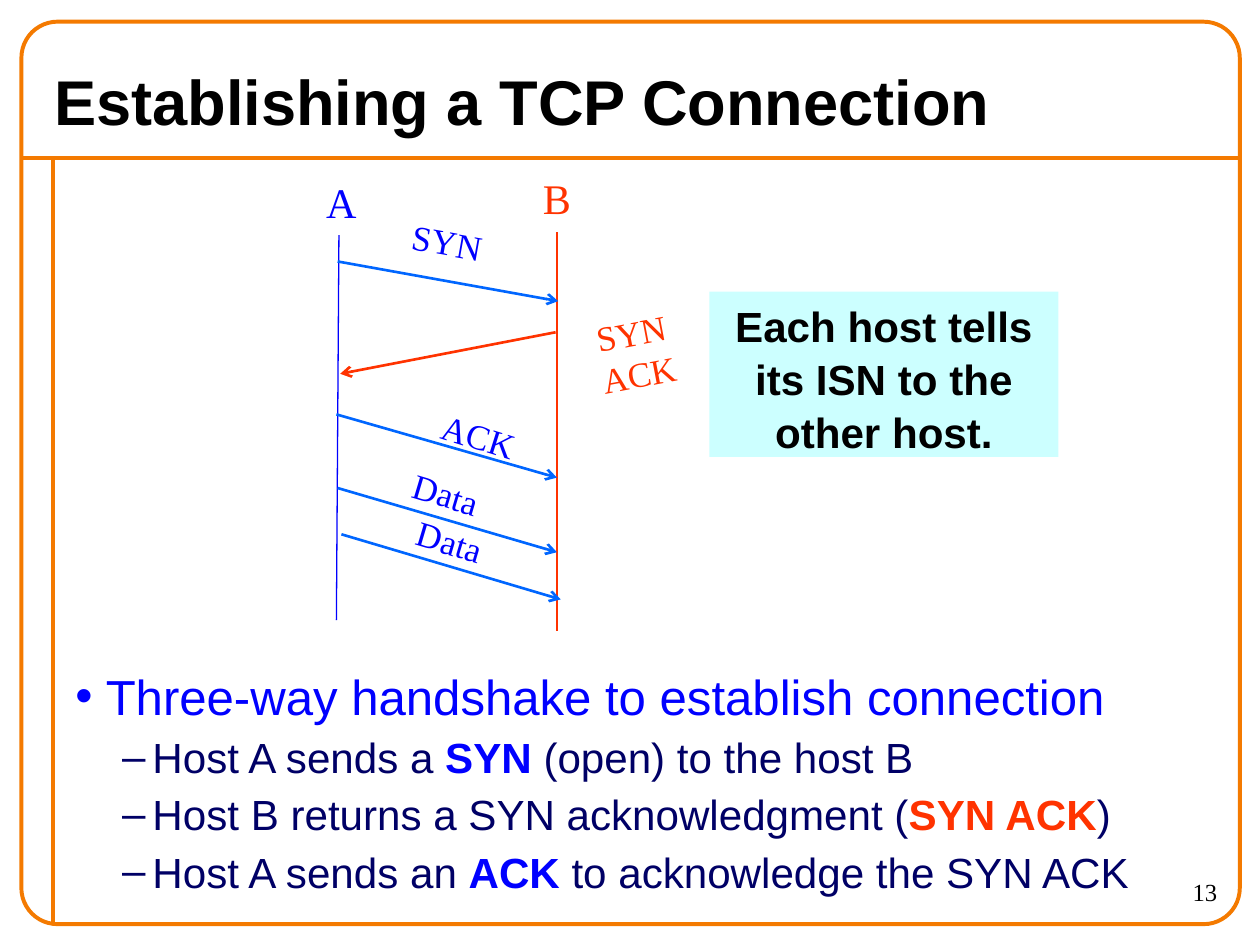
from lxml import etree
from pptx import Presentation, util as u
from pptx.dml.color import RGBColor
from pptx.enum import shapes, text
from pptx.oxml.ns import qn

WIDTH, HEIGHT = u.Inches(9.97), u.Inches(7.47)
ORANGE = RGBColor(0xF4, 0x7A, 0x00)
BLACK = RGBColor(0, 0, 0)
BLUE = RGBColor(0, 0, 0xFF)
AZURE = RGBColor(0, 0x66, 0xFF)
NAVY = RGBColor(0, 0, 0x66)
RED = RGBColor(0xFF, 0x33, 0)
CYAN = RGBColor(0xCC, 0xFF, 0xFF)
SANS, SERIF = "Arial", "Times New Roman"
LEFT, CENTER, RIGHT = (text.PP_ALIGN.LEFT, text.PP_ALIGN.CENTER,
                       text.PP_ALIGN.RIGHT)
MIDDLE = text.MSO_ANCHOR.MIDDLE

HOSTS = [
    ("B", RED, (44.2, 20.9), (44.2, 24.6), (44.2, 66.8)),
    ("A", BLUE, (27.1, 21.4), (26.9, 24.9), (26.7, 65.7)),
]
SENDS = [
    ("SYN", BLUE, AZURE, (26.8, 27.7), (44.3, 31.9), (35.5, 25.6), 10.1),
    ("SYN ACK", RED, RED, (44.1, 35.2), (27, 39.6), (50.4, 37.4), -10.9),
    ("ACK", BLUE, AZURE, (26.7, 43.9), (44.2, 50.6), (38, 46.2), 17.4),
    ("Data", BLUE, AZURE, (26.8, 51.7), (44.2, 58.5), (35.4, 52.3), 16.7),
    ("Data", BLUE, AZURE, (27.1, 56.6), (44.5, 63.5), (35.7, 57.3), 16.7),
]
STEPS = [
    ("Host A sends a ", "SYN", BLUE, " (open) to the host B"),
    ("Host B returns a SYN acknowledgment (", "SYN ACK", RED, ")"),
    ("Host A sends an ", "ACK", BLUE, " to acknowledge the SYN ACK"),
]


def across(share):
    return round(WIDTH * share / 100)


def down(share):
    return round(HEIGHT * share / 100)


def area(left, top, width, height):
    return across(left), down(top), across(width), down(height)


def style(run, size, face, color, bold=False):
    font = run.font
    font.size, font.name, font.bold = u.Pt(size), face, bold
    font.color.rgb = color


def write(frame, words, size, face, color, align, bold=False):
    frame.text = words
    para = frame.paragraphs[0]
    para.alignment = align
    style(para.runs[0], size, face, color, bold)


def add_line(slide, start, end, color, weight, arrow=False):
    line = slide.shapes.add_connector(
        shapes.MSO_CONNECTOR.STRAIGHT, across(start[0]), down(start[1]),
        across(end[0]), down(end[1]))
    line.line.color.rgb = color
    line.line.width = u.Pt(weight)
    if arrow:
        etree.SubElement(line.line._get_or_add_ln(), qn("a:tailEnd"),
                         type="arrow")
    etree.SubElement(line._element.spPr, qn("a:effectLst"))


def add_label(slide, words, center, size, color, turn=0):
    wide, high = 8, 6
    box = slide.shapes.add_textbox(
        *area(center[0] - wide / 2, center[1] - high / 2, wide, high))
    box.rotation = turn
    box.text_frame.word_wrap = False
    box.text_frame.vertical_anchor = MIDDLE
    write(box.text_frame, words, size, SERIF, color, CENTER)


def add_frame(slide):
    add_line(slide, (1.7, 16.7), (98.4, 16.7), ORANGE, 2.25)
    add_line(slide, (4.2, 16.7), (4.2, 97.9), ORANGE, 2.25)
    frame = slide.shapes.add_shape(
        shapes.MSO_SHAPE.ROUNDED_RECTANGLE, *area(1.7, 2.3, 96.7, 95.6))
    frame.adjustments[0] = 0.04
    frame.shadow.inherit = False
    frame.fill.background()
    frame.line.color.rgb = ORANGE
    frame.line.width = u.Pt(2.25)


def add_title(slide):
    title = slide.shapes.title
    title.left, title.top, title.width, title.height = area(3.3, 5.6, 88.3, 10)
    title.text_frame.vertical_anchor = MIDDLE
    write(title.text_frame, "Establishing a TCP Connection", 36, SANS, BLACK,
          LEFT, True)


def add_number(slide):
    box = slide.shapes.add_textbox(*area(87.6, 92.2, 10, 5.6))
    box.text_frame.word_wrap = True
    write(box.text_frame, "13", 14, SERIF, BLACK, RIGHT)


def add_note(slide):
    note = slide.shapes.add_shape(
        shapes.MSO_SHAPE.RECTANGLE, *area(56.3, 30.9, 27.7, 17.5))
    note.shadow.inherit = False
    note.fill.solid()
    note.fill.fore_color.rgb = CYAN
    note.line.fill.background()
    note.text_frame.word_wrap = True
    note.text_frame.vertical_anchor = text.MSO_ANCHOR.TOP
    write(note.text_frame, "Each host tells its ISN to the other host.",
          24, SANS, BLACK, CENTER, True)
    note.text_frame.paragraphs[0].line_spacing = 1.05


def set_bullet(para, mark, margin):
    props = para._p.get_or_add_pPr()
    props.set("marL", str(u.Inches(margin)))
    props.set("indent", str(-u.Inches(0.24)))
    etree.SubElement(props, qn("a:buFont"), typeface=SANS)
    etree.SubElement(props, qn("a:buChar"), char=mark)


def add_body(slide):
    box = slide.shapes.add_textbox(*area(5, 69.9, 92.5, 28))
    frame = box.text_frame
    frame.word_wrap = True
    write(frame, "Three-way handshake to establish connection", 28, SANS,
          BLUE, LEFT)
    set_bullet(frame.paragraphs[0], "•", 0.24)
    for before, key, color, after in STEPS:
        para = frame.add_paragraph()
        para.level = 1
        para.space_before = u.Pt(3.75)
        set_bullet(para, "–", 0.61)
        for words, shade in ((before, NAVY), (key, color), (after, NAVY)):
            run = para.add_run()
            run.text = words
            style(run, 24, SANS, shade, words == key)


def main():
    deck = Presentation()
    deck.slide_width, deck.slide_height = WIDTH, HEIGHT
    slide = deck.slides.add_slide(deck.slide_layouts[5])
    add_frame(slide)
    add_number(slide)
    add_title(slide)
    add_body(slide)
    for name, color, center, start, end in HOSTS:
        add_line(slide, start, end, color, 0.75)
        add_label(slide, name, center, 24, color)
    for name, color, shade, start, end, center, turn in SENDS:
        add_line(slide, start, end, shade, 1.5, True)
        add_label(slide, name, center, 20, color, turn)
    add_note(slide)
    deck.save("out.pptx")


if __name__ == "__main__":
    main()
